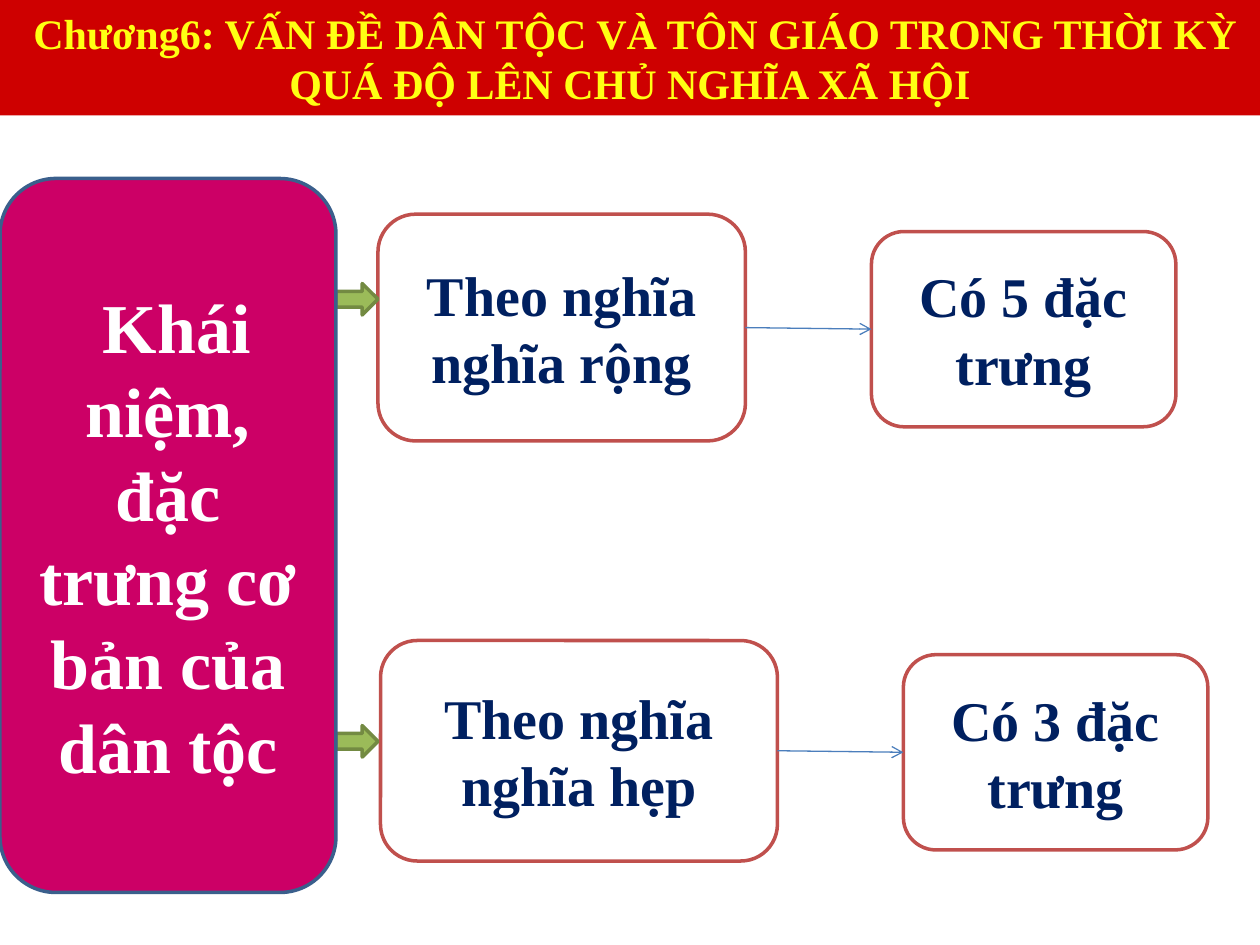
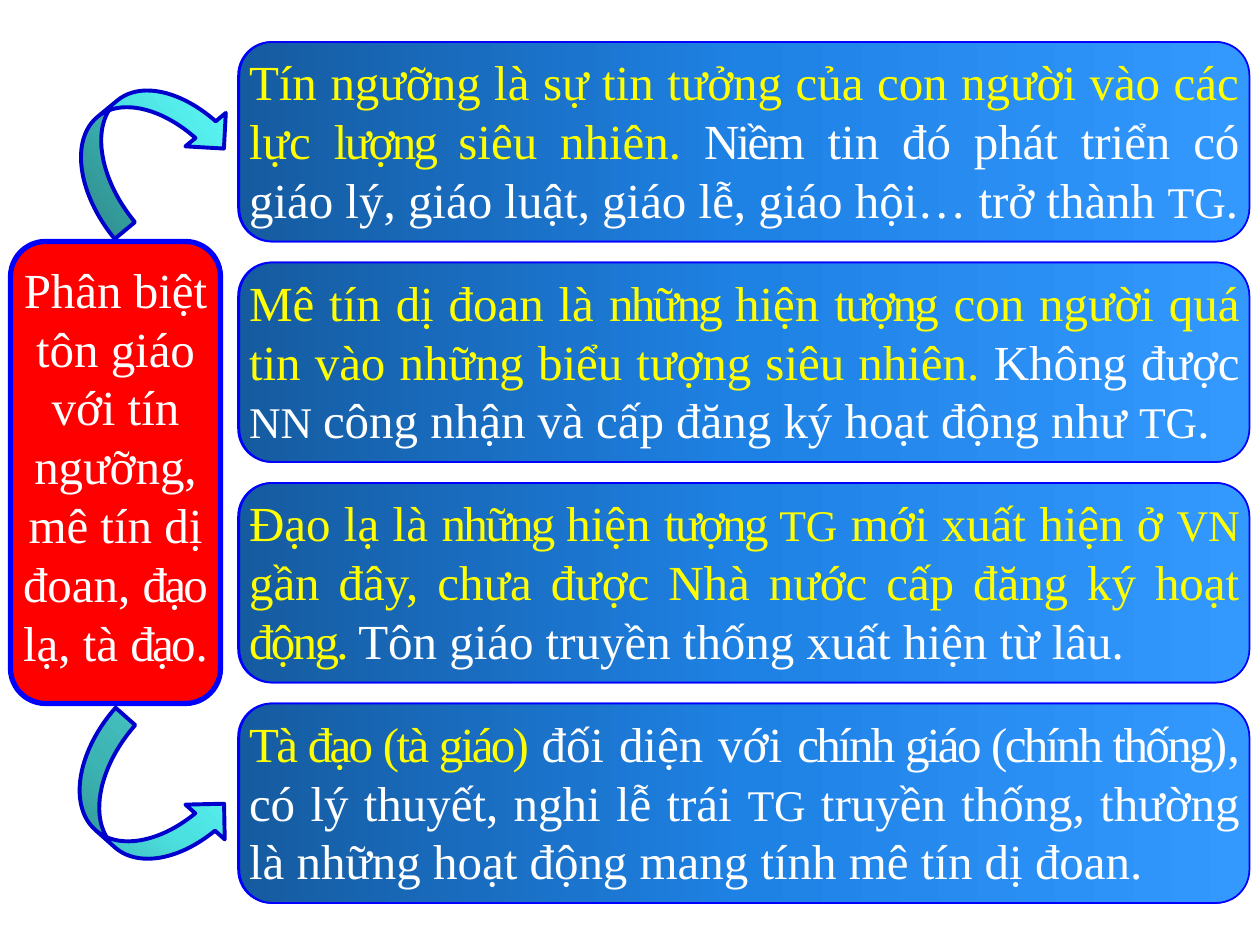
from copy import deepcopy

from lxml import etree
from pptx import Presentation
from pptx import util as u
from pptx.dml.color import RGBColor
from pptx.enum import shapes, text
from pptx.oxml.ns import qn

COLUMNS, ROWS = 120, 90
WIDTH, HEIGHT = u.Inches(10), u.Inches(7.5)
FONT = "Times New Roman"
KIND = shapes.MSO_SHAPE
MIDDLE, TOP = text.MSO_ANCHOR.MIDDLE, text.MSO_ANCHOR.TOP
CENTER, JUSTIFY = text.PP_ALIGN.CENTER, text.PP_ALIGN.JUSTIFY

WHITE, YELLOW, NAVY, BLUE = "FFFFFF", "FFFF00", "002060", "0000FF"
BRICK = ("C0504D", 2)
PANEL_BLUES = ("155BA0", "1E81E4", "3399FF")
ARROW_TEALS = ("369E9E", "4CE1E1", "66FFFF")
SMALL, TIGHT = {"size": 25}, {"spacing": -1.5}
GOLD = {"color": YELLOW}
TIGHT_GOLD, SMALL_GOLD = {**TIGHT, **GOLD}, {**SMALL, **GOLD}

DEFINITIONS = [
    [("Tín ngưỡng là sự tin tưởng của con người vào các lực ", GOLD),
     ("lượng ", TIGHT_GOLD), ("siêu nhiên. ", GOLD), ("Niềm", TIGHT),
     (" tin đó phát triển có giáo lý, giáo luật, giáo lễ, giáo hội… trở thành ", {}),
     ("TG", SMALL), (".", {})],
    [("Mê tín dị đoan là ", GOLD), ("những ", TIGHT_GOLD), ("hiện ", GOLD),
     ("tượng", TIGHT_GOLD),
     (" con người quá tin vào những biểu tượng siêu nhiên. ", GOLD),
     ("Không được ", {}), ("NN ", SMALL),
     ("công nhận và cấp đăng ký hoạt động như ", {}), ("TG", SMALL), (".", {})],
    [("Đạo lạ là ", GOLD), ("những ", TIGHT_GOLD), ("hiện ", GOLD),
     ("tượng ", TIGHT_GOLD), ("TG", SMALL_GOLD), (" mới xuất hiện ở ", GOLD),
     ("VN", SMALL_GOLD), (" gần đây, chưa được Nhà nước cấp đăng ký hoạt ", GOLD),
     ("động. ", TIGHT_GOLD), ("T", TIGHT),
     ("ôn giáo truyền thống xuất hiện từ lâu.", {})],
    [("Tà đạo (tà giáo) ", TIGHT_GOLD), ("đối diện với ", {}),
     ("chính giáo (chính thống)", TIGHT), (", có lý thuyết, nghi lễ trái ", {}),
     ("TG", SMALL),
     (" truyền thống, thường là những hoạt động mang tính mê tín dị đoan.", {})],
]
DISTINCTION = [
    ("Phân biệt tôn giáo với tín ngưỡng, mê tín dị đoan, ", {}), ("đạo", TIGHT),
    (" lạ, tà ", {}), ("đạo", TIGHT), (".", {}),
]


def rgb(hex_code):
    """Turn a hex string into a colour."""
    return RGBColor.from_string(hex_code)


def on_grid(box):
    """Convert a box in columns and rows to slide lengths."""
    left, top, width, height = box
    return [round(share) for share in (left * WIDTH / COLUMNS, top * HEIGHT / ROWS,
                                       width * WIDTH / COLUMNS, height * HEIGHT / ROWS)]


def paint(fill, colors):
    """Fill with one colour, or with a three-colour gradient from left to right."""
    if isinstance(colors, str):
        fill.solid()
        fill.fore_color.rgb = rgb(colors)
        return
    fill.gradient()
    fill.gradient_angle = 0
    stops = fill.gradient_stops
    first = stops[0]._gs
    first.addnext(deepcopy(first))
    for stop, color, position in zip(fill.gradient_stops, colors, (0, 0.5, 1)):
        stop.color.rgb = rgb(color)
        stop.position = position


def add_block(slide, kind, box, fill, line=None, rotation=0):
    """Draw one preset shape on the grid."""
    block = slide.shapes.add_shape(kind, *on_grid(box))
    block.shadow.inherit = False
    block.rotation = rotation
    paint(block.fill, fill)
    if line:
        block.line.color.rgb = rgb(line[0])
        block.line.width = u.Pt(line[1])
    else:
        block.line.fill.background()
    return block


def write(block, runs, size, color=WHITE, bold=False, align=CENTER, anchor=MIDDLE,
          insets=(0.1, 0.05, 0.1, 0.05)):
    """Write one paragraph of formatted runs into a block."""
    frame = block.text_frame
    left, top, right, bottom = map(u.Inches, insets)
    layout = {"word_wrap": True, "vertical_anchor": anchor, "margin_left": left,
              "margin_top": top, "margin_right": right, "margin_bottom": bottom}
    for name, value in layout.items():
        setattr(frame, name, value)
    paragraph = frame.paragraphs[0]
    paragraph.alignment = align
    for words, style in runs:
        run = paragraph.add_run()
        run.text = words
        formats = {"name": FONT, "size": u.Pt(style.get("size", size)), "bold": bold}
        for name, value in formats.items():
            setattr(run.font, name, value)
        run.font.color.rgb = rgb(style.get("color", color))
        if "spacing" in style:
            run._r.get_or_add_rPr().set("spc", str(round(style["spacing"] * 100)))


def link(slide, source, target):
    """Join the right side of one block to the left side of another by an arrow."""
    arrow = slide.shapes.add_connector(shapes.MSO_CONNECTOR.STRAIGHT, 0, 0, 0, 0)
    arrow.begin_connect(source, 3)
    arrow.end_connect(target, 1)
    arrow.line.color.rgb = rgb("4B7EBC")
    arrow.line.width = u.Pt(0.75)
    etree.SubElement(arrow.line._get_or_add_ln(), qn("a:tailEnd"), type="arrow")
    etree.SubElement(arrow._element.spPr, qn("a:effectLst"))


def add_chapter_band(slide, box, title):
    """Draw the chapter title band."""
    band = add_block(slide, KIND.RECTANGLE, box, "CE0000")
    write(band, [(title, {})], 24, "FFFF13", bold=True, insets=(0.1, 0, 0.1, 0))


def add_branch(slide, box, pointer_drop, meaning, traits):
    """Draw a meaning, the pointer that leads to it and its number of traits."""
    left, top, width, height = box
    traits_height = 18.6
    traits_box = (left + width + 12, top + (height - traits_height) / 2 + 0.15,
                  29, traits_height)
    cards = []
    for card_box, words in ((box, meaning), (traits_box, traits)):
        card = add_block(slide, KIND.ROUNDED_RECTANGLE, card_box, WHITE, BRICK)
        write(card, [(words, {})], 32, NAVY, bold=True)
        cards.append(card)
    add_block(slide, KIND.RIGHT_ARROW, (32, top + pointer_drop, 4, 3),
              "9BBB59", ("738A42", 2))
    link(slide, *cards)


def add_definition(slide, box, runs):
    """Draw a blue definition panel with its white backing."""
    left, top, width, height = box
    edge = (BLUE, 1)
    add_block(slide, KIND.ROUNDED_RECTANGLE, (left - 0.12, top, width, height), WHITE, edge)
    panel = add_block(slide, KIND.ROUNDED_RECTANGLE, box, PANEL_BLUES, edge)
    write(panel, runs, 28, align=JUSTIFY, anchor=TOP, insets=(0, 0, 0, 0))


def build_nation_slide(slide):
    """Lay out the concept of nation and its two meanings."""
    add_branch(slide, (36.24, 61, 37.8, 21), 8.1, "Theo nghĩa nghĩa hẹp", "Có 3 đặc trưng")
    add_branch(slide, (36, 20.4, 35, 21.6), 6.6, "Theo nghĩa nghĩa rộng", "Có 5 đặc trưng")
    add_chapter_band(slide, (0, 0, COLUMNS, 11), " Chương6: VẤN ĐỀ DÂN TỘC VÀ TÔN GIÁO "
                     "TRONG THỜI KỲ QUÁ ĐỘ LÊN CHỦ NGHĨA XÃ HỘI")
    concept = add_block(slide, KIND.ROUNDED_RECTANGLE, (0, 17, 32, 68), "CC0066",
                        ("3A5F8C", 2))
    write(concept, [(" Khái niệm, đặc trưng cơ bản của dân tộc", {})], 40, bold=True)


def build_religion_slide(slide):
    """Lay out the distinction between religion and related beliefs."""
    outline = ("0000CC", 2.25)
    add_block(slide, KIND.CURVED_DOWN_ARROW, (5.9, 8.8, 16, 10), ARROW_TEALS, outline, 320.4)
    add_block(slide, KIND.CURVED_RIGHT_ARROW, (8.8, 68.4, 10, 16.3), ARROW_TEALS, outline, 311.5)
    topic = add_block(slide, KIND.ROUNDED_RECTANGLE, (1, 23, 20, 44), "FF0000", (BLUE, 3))
    write(topic, DISTINCTION, 28, anchor=TOP, insets=(0, 0.06, 0, 0))
    for index, runs in enumerate(DEFINITIONS):
        add_definition(slide, (22.8, 4 + 21 * index, 96.2, 19), runs)


def main():
    """Build and save the presentation."""
    deck = Presentation()
    deck.slide_width, deck.slide_height = WIDTH, HEIGHT
    for build in (build_nation_slide, build_religion_slide):
        build(deck.slides.add_slide(deck.slide_layouts[6]))
    deck.save("out.pptx")


if __name__ == "__main__":
    main()
